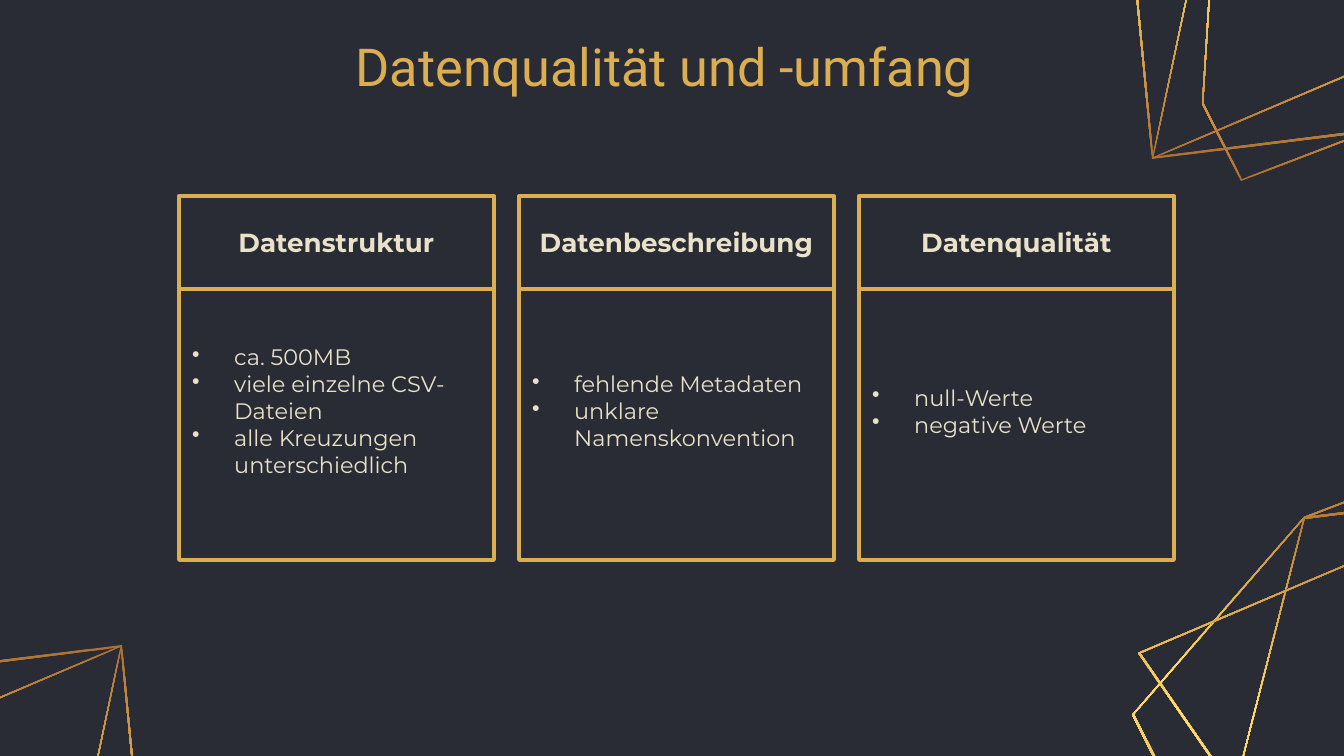
from lxml.etree import SubElement
from pptx import Presentation
from pptx.dml.color import RGBColor
from pptx.enum.shapes import MSO_SHAPE
from pptx.enum.text import MSO_ANCHOR, PP_ALIGN
from pptx.oxml.ns import qn
from pptx.util import Pt

EMU_PER_PX = 914400 / 134.4
WIDTH, HEIGHT = 1344, 756
BACKGROUND, GOLD, CREAM = "292C35", "DCAE52", "E9E2C9"

TITLE = "Datenqualität und -umfang"
CARDS = [
    ("Datenstruktur",
     ["ca. 500MB", "viele einzelne CSV-Dateien", "alle Kreuzungen unterschiedlich"]),
    ("Datenbeschreibung", ["fehlende Metadaten", "unklare Namenskonvention"]),
    ("Datenqualität", ["null-Werte", "negative Werte"]),
]
CARD_LEFT, CARD_TOP, CARD_WIDTH, CARD_STEP = 179, 196, 315, 340
HEADER_HEIGHT, BODY_HEIGHT = 93, 271
BULLET_INDENT, BODY_BOTTOM_INSET = 42, 34

WIRE_POLYGONS = [
    [(1212, 873), (1132, 715), (1304, 517), (1432, 468), (1471, 545), (1455, 802)],
    [(1329, 929), (1213, 872), (1304, 517), (1521, 490), (1455, 802)],
    [(1329, 929), (1138, 653), (1521, 490), (1538, 665)],
]
# Corner: polygons used, direction (-1 is a half turn), shift, gradient angle
WIRE_CORNERS = [
    (WIRE_POLYGONS, 1, (0, 0), 90),
    (WIRE_POLYGONS, -1, (2673, 649), 270),
    (WIRE_POLYGONS[1:], 1, (-1399, 155), 90),
]
WIRE_GRADIENT = [(0, "AF7132"), (50, "FFDD6B"), (100, GOLD)]
WIRE_INNER_SCALE = 0.99


def px(length):
    return round(length * EMU_PER_PX)


def color(hex_string):
    return RGBColor.from_string(hex_string)


def format_paragraph(paragraph, font_name, size, hex_string, bold=False):
    for run in paragraph.runs:
        run.font.name = font_name
        run.font.size = Pt(size)
        run.font.bold = bold
        run.font.color.rgb = color(hex_string)


def fill_gradient(shape, angle):
    shape.fill.gradient()
    gradient = shape._element.spPr.find(qn("a:gradFill"))
    for child in list(gradient):
        gradient.remove(child)
    stops = SubElement(gradient, qn("a:gsLst"))
    for position, hex_string in WIRE_GRADIENT:
        stop = SubElement(stops, qn("a:gs"), pos=str(position * 1000))
        SubElement(stop, qn("a:srgbClr"), val=hex_string)
    SubElement(gradient, qn("a:lin"), ang=str(angle * 60000), scaled="0")


def add_wire(slide, points, angle):
    """Draw a polygon as a thin ring, so that its outline carries a gradient."""
    center_x, center_y = (sum(axis) / len(points) for axis in zip(*points))
    inner = [(center_x + (x - center_x) * WIRE_INNER_SCALE,
              center_y + (y - center_y) * WIRE_INNER_SCALE) for x, y in points]
    outer_emu, inner_emu = ([(px(x), px(y)) for x, y in ring] for ring in (points, inner))
    builder = slide.shapes.build_freeform(*outer_emu[0])
    builder.add_line_segments(outer_emu[1:], close=True)
    builder.move_to(*inner_emu[0])
    builder.add_line_segments(inner_emu[1:], close=True)
    wire = builder.convert_to_shape()
    wire.shadow.inherit = False
    wire.line.fill.background()
    fill_gradient(wire, angle)


def add_title(slide):
    title = slide.shapes.add_textbox(px(286), px(34), px(757), px(63))
    frame = title.text_frame
    frame.word_wrap = True
    frame.vertical_anchor = MSO_ANCHOR.MIDDLE
    frame.text = TITLE
    frame.paragraphs[0].alignment = PP_ALIGN.CENTER
    format_paragraph(frame.paragraphs[0], "Roboto", 28, GOLD)


def add_box(slide, left, top, height, text):
    box = slide.shapes.add_shape(
        MSO_SHAPE.RECTANGLE, px(left), px(top), px(CARD_WIDTH), px(height))
    box.shadow.inherit = False
    box.fill.background()
    box.line.color.rgb = color(GOLD)
    box.line.width = Pt(2)
    frame = box.text_frame
    frame.word_wrap = True
    frame.vertical_anchor = MSO_ANCHOR.MIDDLE
    frame.text = text
    return frame


def add_bullet(paragraph):
    properties = paragraph._p.get_or_add_pPr()
    properties.set("marL", str(px(BULLET_INDENT)))
    properties.set("indent", str(-px(BULLET_INDENT)))
    SubElement(properties, qn("a:buChar"), char="•")


def add_card(slide, left, heading, items):
    header = add_box(slide, left, CARD_TOP, HEADER_HEIGHT, heading)
    header.paragraphs[0].alignment = PP_ALIGN.CENTER
    format_paragraph(header.paragraphs[0], "Montserrat", 14, CREAM, bold=True)

    body = add_box(slide, left, CARD_TOP + HEADER_HEIGHT, BODY_HEIGHT, "\n".join(items))
    body.margin_bottom = px(BODY_BOTTOM_INSET)
    for paragraph in body.paragraphs:
        paragraph.alignment = PP_ALIGN.LEFT
        add_bullet(paragraph)
        format_paragraph(paragraph, "Montserrat", 12, CREAM)


def main():
    presentation = Presentation()
    presentation.slide_width, presentation.slide_height = px(WIDTH), px(HEIGHT)
    slide = presentation.slides.add_slide(presentation.slide_layouts[6])
    slide.background.fill.solid()
    slide.background.fill.fore_color.rgb = color(BACKGROUND)

    for polygons, direction, (shift_x, shift_y), angle in WIRE_CORNERS:
        for polygon in polygons:
            points = [(shift_x + direction * x, shift_y + direction * y) for x, y in polygon]
            add_wire(slide, points, angle)
    add_title(slide)
    for index, (heading, items) in enumerate(CARDS):
        add_card(slide, CARD_LEFT + index * CARD_STEP, heading, items)
    presentation.save("out.pptx")


if __name__ == "__main__":
    main()
